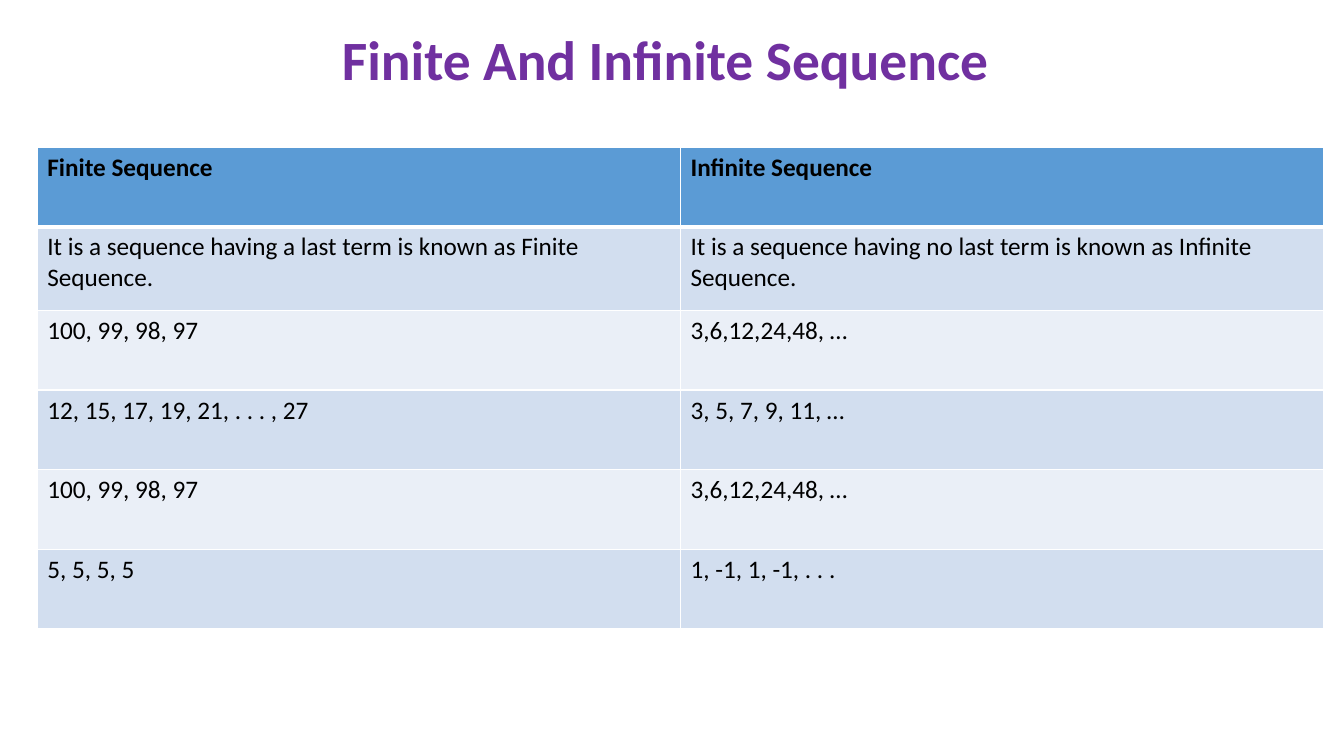
from dataclasses import dataclass

from lxml.etree import SubElement
from pptx import Presentation
from pptx.dml.color import RGBColor
from pptx.enum.text import MSO_ANCHOR, MSO_AUTO_SIZE, PP_ALIGN
from pptx.oxml.ns import qn
from pptx.util import Inches, Pt


@dataclass(frozen=True)
class Theme:
    font: str = "Calibri"
    title_size: float = 39.6
    body_size: float = 18
    title: str = "7030A0"
    text: str = "000000"
    header: str = "5B9BD5"
    bands: tuple = ("D2DEEF", "EAEFF7")
    border: str = "FFFFFF"
    thin: float = 1
    thick: float = 3


THEME = Theme()
TITLE_BOX = (0.85, 0.27, 11.5, 0.7)
TABLE_LEFT, TABLE_TOP = 0.37, 1.46
COLUMN_WIDTH = 6.38
ROW_HEIGHT, DEFINITION_HEIGHT = 0.79, 0.83
DEFINITION_ROW = 1

SEQUENCES = [
    ("Finite Sequence", "Infinite Sequence"),
    ("It is a sequence having a last term is known as Finite Sequence.",
     "It is a sequence having no last term is known as Infinite Sequence."),
    ("100, 99, 98, 97", "3,6,12,24,48, …"),
    ("12, 15, 17, 19, 21, . . . , 27", "3, 5, 7, 9, 11, …"),
    ("100, 99, 98, 97", "3,6,12,24,48, …"),
    ("5, 5, 5, 5", "1, -1, 1, -1, . . ."),
]


def add_run(paragraph, text, size, color, bold):
    run = paragraph.add_run()
    run.text = text
    run.font.name = THEME.font
    run.font.size = Pt(size)
    run.font.bold = bold
    run.font.color.rgb = RGBColor.from_string(color)


def add_title(slide, text):
    title = slide.shapes.title
    title.left, title.top, title.width, title.height = map(Inches, TITLE_BOX)
    frame = title.text_frame
    frame.word_wrap = True
    frame.auto_size = MSO_AUTO_SIZE.NONE
    frame.vertical_anchor = MSO_ANCHOR.MIDDLE
    paragraph = frame.paragraphs[0]
    paragraph.alignment = PP_ALIGN.CENTER
    paragraph.line_spacing = 0.9
    add_run(paragraph, text, THEME.title_size, THEME.title, True)


def set_borders(cell, top, bottom):
    properties = cell._tc.get_or_add_tcPr()
    widths = {"lnL": THEME.thin, "lnR": THEME.thin, "lnT": top, "lnB": bottom}
    for tag, width in widths.items():
        line = SubElement(properties, qn(f"a:{tag}"), w=str(Pt(width)))
        fill = SubElement(line, qn("a:solidFill"))
        SubElement(fill, qn("a:srgbClr"), val=THEME.border)


def format_cell(cell, text, row_index):
    is_header = row_index == 0
    set_borders(
        cell,
        THEME.thick if row_index == 1 else THEME.thin,
        THEME.thick if is_header else THEME.thin,
    )
    color = THEME.header if is_header else THEME.bands[(row_index - 1) % 2]
    cell.fill.solid()
    cell.fill.fore_color.rgb = RGBColor.from_string(color)
    add_run(cell.text_frame.paragraphs[0], text, THEME.body_size, THEME.text, is_header)


def add_sequence_table(slide, rows):
    heights = [ROW_HEIGHT] * len(rows)
    heights[DEFINITION_ROW] = DEFINITION_HEIGHT
    column_count = len(rows[0])
    table = slide.shapes.add_table(
        len(rows), column_count, Inches(TABLE_LEFT), Inches(TABLE_TOP),
        Inches(COLUMN_WIDTH * column_count), Inches(sum(heights)),
    ).table
    for column in table.columns:
        column.width = Inches(COLUMN_WIDTH)
    for row_index, texts in enumerate(rows):
        table.rows[row_index].height = Inches(heights[row_index])
        for column_index, text in enumerate(texts):
            format_cell(table.cell(row_index, column_index), text, row_index)


def main():
    presentation = Presentation()
    presentation.slide_width = Inches(13.33)
    presentation.slide_height = Inches(7.5)
    slide = presentation.slides.add_slide(
        presentation.slide_layouts.get_by_name("Title Only")
    )
    add_title(slide, "Finite And Infinite Sequence")
    add_sequence_table(slide, SEQUENCES)
    presentation.save("out.pptx")


if __name__ == "__main__":
    main()
